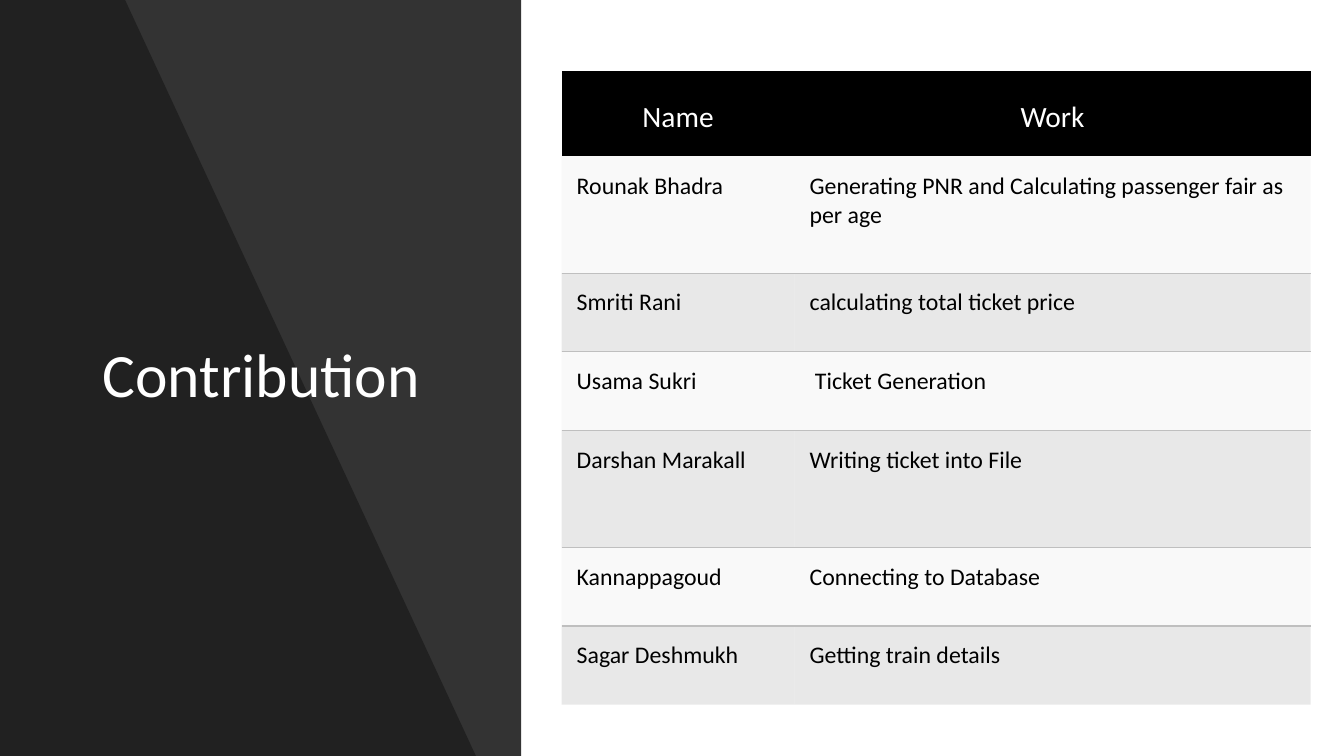
from lxml import etree
from pptx import Presentation
from pptx.dml.color import RGBColor
from pptx.enum.shapes import MSO_SHAPE
from pptx.enum.text import MSO_ANCHOR, PP_ALIGN
from pptx.oxml.ns import qn
from pptx.util import Inches, Pt

RECTANGLE = MSO_SHAPE.RECTANGLE
MIDDLE, TOP = MSO_ANCHOR.MIDDLE, MSO_ANCHOR.TOP
LEFT, CENTER = PP_ALIGN.LEFT, PP_ALIGN.CENTER
BLACK = RGBColor(0x00, 0x00, 0x00)
WHITE = RGBColor(0xFF, 0xFF, 0xFF)
PALE = RGBColor(0xF2, 0xF2, 0xF2)
GREY = RGBColor(0xBF, 0xBF, 0xBF)
FONT = "Calibri"
PLAIN_TABLE = "{2D5ABB26-0587-4C30-8999-92F81FD0307C}"

SLIDE_WIDTH, SLIDE_HEIGHT = Inches(13.33), Inches(7.5)
COLUMN_WIDTHS = [2.31, 5.12]
HEADER_HEIGHT, SHORT_ROW, TALL_ROW = 0.85, 0.78, 1.16
HEADINGS = ["Name", "Work"]
CONTRIBUTIONS = [
    ("Rounak Bhadra", "Generating PNR and Calculating passenger fair as per age", TALL_ROW),
    ("Smriti Rani", "calculating total ticket price", SHORT_ROW),
    ("Usama Sukri", "\u00a0Ticket Generation".replace("\u00a0", " "), SHORT_ROW),
    ("Darshan Marakall", "Writing ticket into File", TALL_ROW),
    ("Kannappagoud", "Connecting to Database", SHORT_ROW),
    ("Sagar Deshmukh", "Getting train details", SHORT_ROW),
]


def paint(fill, properties, color, opacity):
    fill.solid()
    fill.fore_color.rgb = color
    tint = properties.find(qn("a:solidFill"))[0]
    etree.SubElement(tint, qn("a:alpha"), val=str(opacity * 1000))


def write(frame, text, size, color, align=LEFT):
    paragraph = frame.paragraphs[0]
    paragraph.alignment = align
    run = paragraph.add_run()
    run.text = text
    run.font.name = FONT
    run.font.size = Pt(size)
    run.font.color.rgb = color
    return paragraph


def rule(cell, side):
    line = etree.Element(qn(f"a:{side}"), w=str(Pt(1)))
    fill = etree.SubElement(line, qn("a:solidFill"))
    etree.SubElement(fill, qn("a:srgbClr"), val=str(GREY))
    cell._tc.get_or_add_tcPr().insert(0, line)


def fill_cell(cell, text, size, color, background, opacity, align, anchor):
    cell.margin_left = cell.margin_right = cell.margin_top = Inches(0.15)
    cell.margin_bottom = Inches(0.08)
    cell.vertical_anchor = anchor
    write(cell.text_frame, text, size, color, align)
    paint(cell.fill, cell._tc.get_or_add_tcPr(), background, opacity)


def add_title_panel(slide, left, top, width, height):
    panel = slide.shapes.add_shape(RECTANGLE, left, top, width, height)
    builder = slide.shapes.build_freeform(left, top)
    builder.add_line_segments([
        (left + int(width * 0.24), top),
        (left + int(width * 0.913), top + height),
        (left, top + height),
    ])
    wedge = builder.convert_to_shape()
    for shape, opacity in ((panel, 80), (wedge, 35)):
        paint(shape.fill, shape._element.spPr, BLACK, opacity)
        shape.line.fill.background()
        shape.shadow.inherit = False

    title = slide.shapes.add_textbox(
        left + Inches(0.92), top + Inches(2.09), Inches(3.58), Inches(3.31))
    title.text_frame.word_wrap = True
    title.text_frame.vertical_anchor = MIDDLE
    write(title.text_frame, "Contribution", 44, WHITE).line_spacing = 0.9


def add_contribution_table(slide, left, top, width, height):
    frame = slide.shapes.add_table(
        len(CONTRIBUTIONS) + 1, len(HEADINGS), left, top, width, height)
    table = frame.table
    table._tbl.tblPr.find(qn("a:tableStyleId")).text = PLAIN_TABLE
    for column, share in zip(table.columns, COLUMN_WIDTHS):
        column.width = Inches(share)

    table.rows[0].height = Inches(HEADER_HEIGHT)
    for column, heading in enumerate(HEADINGS):
        fill_cell(table.cell(0, column), heading, 21, WHITE, BLACK, 100, CENTER, MIDDLE)

    for row, (name, work, row_height) in enumerate(CONTRIBUTIONS, start=1):
        table.rows[row].height = Inches(row_height)
        background, opacity, side = (PALE, 45, "lnB") if row % 2 else (GREY, 35, "lnT")
        for column, text in enumerate((name, work)):
            cell = table.cell(row, column)
            fill_cell(cell, text, 17, BLACK, background, opacity, LEFT, TOP)
            rule(cell, side)


def main():
    deck = Presentation()
    deck.slide_width, deck.slide_height = SLIDE_WIDTH, SLIDE_HEIGHT
    slide = deck.slides.add_slide(deck.slide_layouts[6])
    add_title_panel(slide, 0, 0, Inches(5.17), SLIDE_HEIGHT)
    add_contribution_table(
        slide, Inches(5.57), Inches(0.7), Inches(sum(COLUMN_WIDTHS)), Inches(6.29))
    deck.save("out.pptx")


if __name__ == "__main__":
    main()
